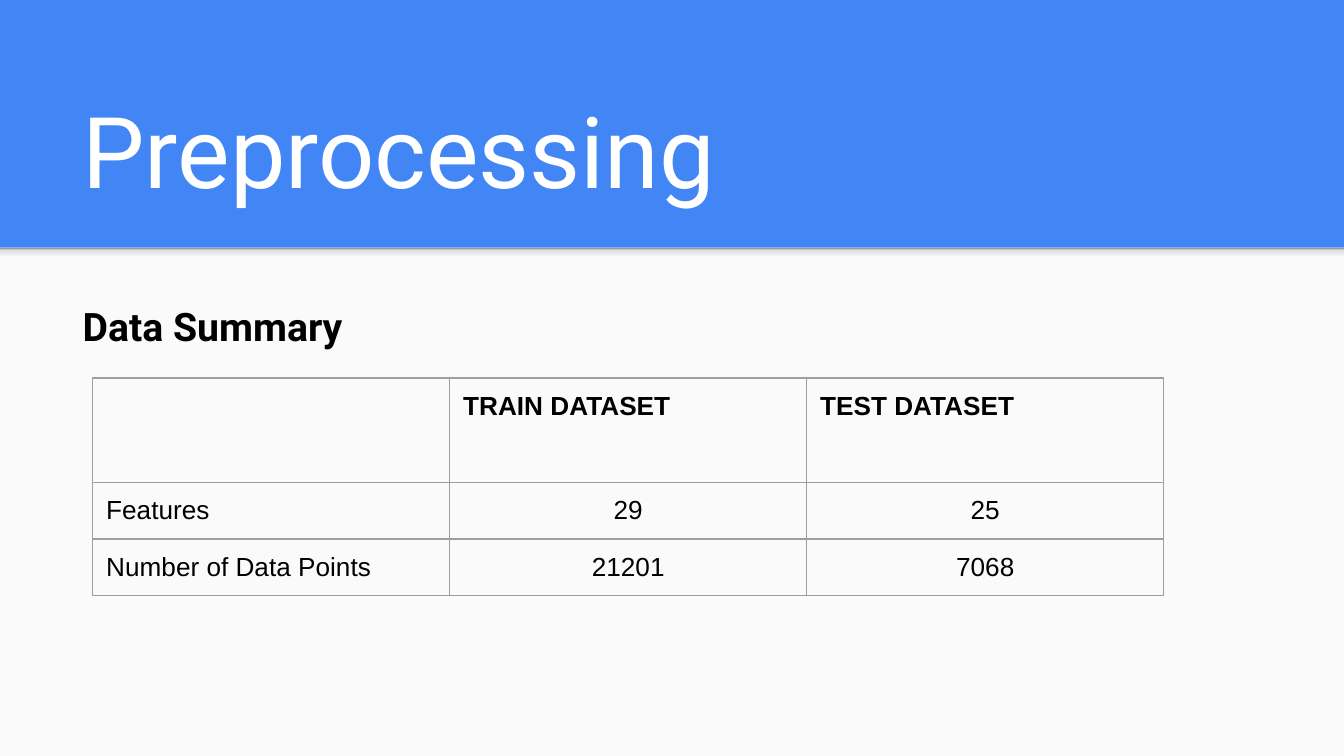
from lxml.etree import SubElement
from pptx import Presentation
from pptx.dml.color import RGBColor
from pptx.enum.shapes import MSO_SHAPE
from pptx.enum.text import MSO_ANCHOR, MSO_AUTO_SIZE, PP_ALIGN
from pptx.oxml.ns import qn
from pptx.util import Inches, Pt

WIDE = Inches(10)
HIGH = WIDE * 9 // 16
INSET = Inches(0.1)
COLORS = {"blue": "4285F4", "panel": "FAFAFA", "white": "FFFFFF",
          "black": "000000", "rule": "9E9E9E"}
FADE = [(0, "F9F9F9"), (36, "F9F9F9"), (80, "DEDEDE"), (100, "999999")]
ROWS = [["", "TRAIN DATASET", "TEST DATASET"],
        ["Features", "29", "25"],
        ["Number of Data Points", "21201", "7068"]]


def rgb(name):
    return RGBColor.from_string(COLORS[name])


def share(x, y, w, h):
    """Turn percentages of the slide into a box of lengths."""
    return tuple(round(part * whole / 100) for part, whole in
                 zip((x, y, w, h), (WIDE, HIGH, WIDE, HIGH)))


def place(shape, box):
    shape.left, shape.top, shape.width, shape.height = box


def style(para, font, size, color, bold=False):
    for run in para.runs:
        run.font.name, run.font.size, run.font.bold = font, Pt(size), bold
        run.font.color.rgb = rgb(color)


def add_fill(parent, color):
    fill = SubElement(parent, qn("a:solidFill"))
    SubElement(fill, qn("a:srgbClr"), val=color)


def add_rect(slide, box, depth):
    """Add a bare rectangle at the given depth, behind the text."""
    rect = slide.shapes.add_shape(MSO_SHAPE.RECTANGLE, *box)
    rect.shadow.inherit = False
    rect.line.fill.background()
    slide.shapes._spTree.insert(2 + depth, rect._element)
    return rect


def add_panel(slide, box):
    """Add the pale lower panel and the shade along its top edge."""
    left, top, width, height = box
    panel = add_rect(slide, box, 0)
    panel.fill.solid()
    panel.fill.fore_color.rgb = rgb("panel")
    shade = add_rect(slide, (left, top, width, round(height * 0.03)), 1)
    shade.fill.gradient()
    shade.fill.gradient_angle = 90
    stops = shade._element.spPr.find(qn("a:gradFill")).find(qn("a:gsLst"))
    for stop in list(stops):
        stops.remove(stop)
    for pos, color in FADE:
        stop = SubElement(stops, qn("a:gs"), pos=str(pos * 1000))
        SubElement(stop, qn("a:srgbClr"), val=color)


def fill_holder(holder, box, text, size, color, anchor, bold=False):
    place(holder, box)
    frame = holder.text_frame
    frame.text = text
    frame.word_wrap = True
    frame.auto_size = MSO_AUTO_SIZE.NONE
    frame.vertical_anchor = anchor
    frame.margin_left = frame.margin_right = INSET
    frame.margin_top = frame.margin_bottom = INSET
    para = frame.paragraphs[0]
    para.alignment = PP_ALIGN.LEFT
    para.space_before = Pt(0)
    style(para, "Roboto", size, color, bold)
    return para


def add_title(slide, box):
    fill_holder(slide.shapes.title, box, "Preprocessing", 53, "white",
                MSO_ANCHOR.BOTTOM)


def add_body(slide, box):
    para = fill_holder(slide.placeholders[1], box, "Data Summary", 21, "black",
                       MSO_ANCHOR.TOP, bold=True)
    para.line_spacing, para.space_after = 1.15, Pt(16)
    props = para._p.get_or_add_pPr()
    props.set("marL", "0")
    props.set("indent", "0")
    SubElement(props, qn("a:buNone"))


def edge_cell(cell):
    """Draw the four borders, which come before the cell's fill."""
    props = cell._tc.get_or_add_tcPr()
    for side in ("lnL", "lnR", "lnT", "lnB"):
        add_fill(SubElement(props, qn(f"a:{side}"), w=str(Pt(0.75))),
                 COLORS["rule"])
    cell.fill.background()


def add_grid(slide, box):
    table = slide.shapes.add_table(len(ROWS), len(ROWS[0]), *box).table
    table.first_row = table.horz_banding = False
    head = box[3] // 2
    for r, texts in enumerate(ROWS):
        table.rows[r].height = head if r == 0 else head // (len(ROWS) - 1)
        for c, text in enumerate(texts):
            cell = table.cell(r, c)
            edge_cell(cell)
            cell.margin_left = cell.margin_right = INSET
            cell.margin_top = cell.margin_bottom = INSET
            cell.text = text
            para = cell.text_frame.paragraphs[0]
            if r and c:
                para.alignment = PP_ALIGN.CENTER
            style(para, "Arial", 14, "black", bold=r == 0)


def main():
    deck = Presentation()
    deck.slide_width, deck.slide_height = WIDE, HIGH
    slide = deck.slides.add_slide(deck.slide_layouts[1])
    slide.background.fill.solid()
    slide.background.fill.fore_color.rgb = rgb("blue")
    add_panel(slide, share(0, 32.75, 100, 67.25))
    add_title(slide, share(5.15, 14.4, 89.9, 14.9))
    add_body(slide, share(5.15, 37.3, 89.9, 52.6))
    add_grid(slide, share(6.9, 50, 79.7, 27.7))
    deck.save("out.pptx")


if __name__ == "__main__":
    main()
